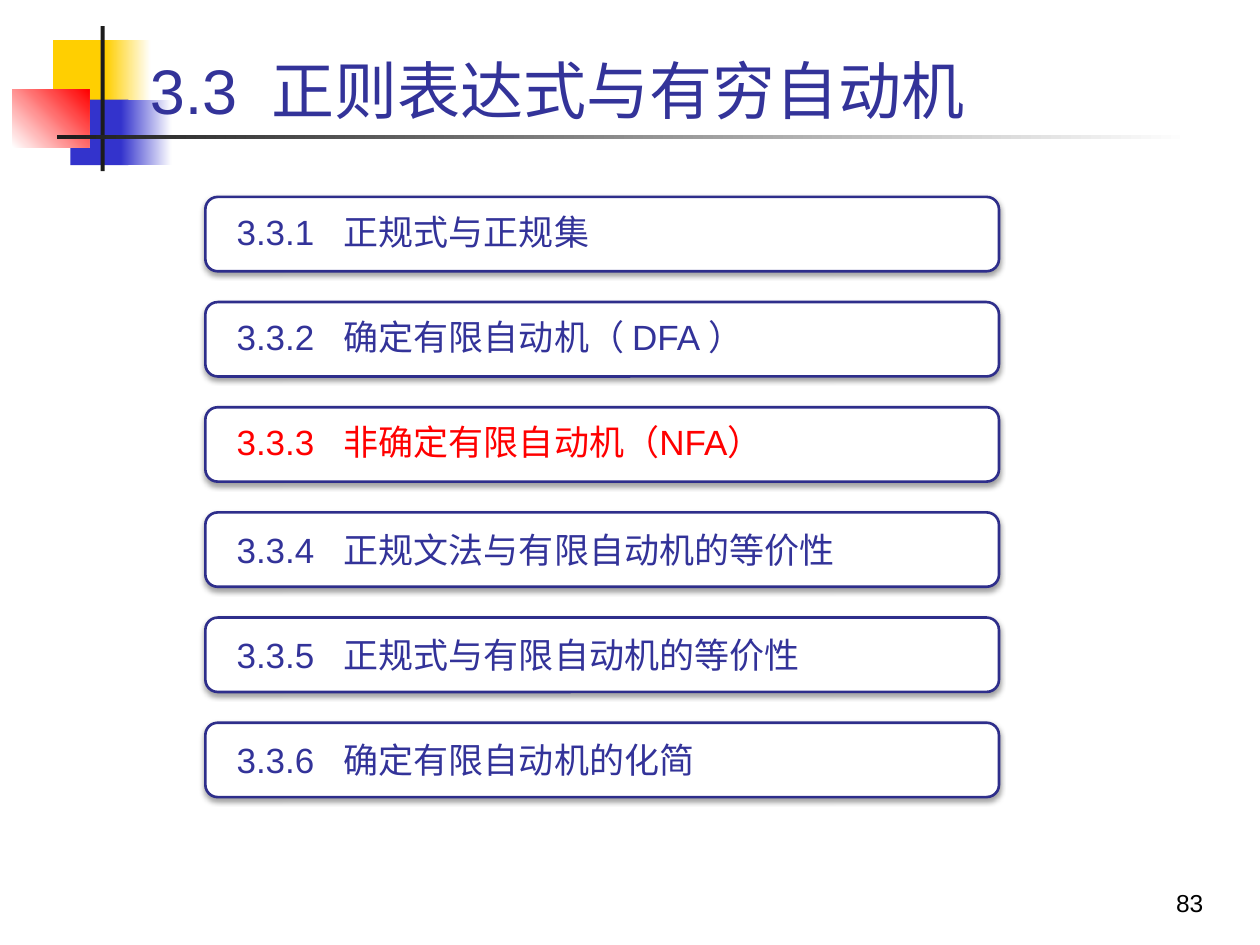
import lxml.etree
import pptx
import pptx.dml.color
import pptx.enum.shapes
import pptx.enum.text
import pptx.oxml
import pptx.oxml.ns
import pptx.util

Cm = pptx.util.Cm
Pt = pptx.util.Pt
Shape = pptx.enum.shapes.MSO_SHAPE
Anchor = pptx.enum.text.MSO_ANCHOR
Align = pptx.enum.text.PP_ALIGN
qn = pptx.oxml.ns.qn

THEME = {
    "font": "Arial",
    "title_size": 36, "section_size": 20, "page_size": 14,
    "text": "333399", "current": "FF0000", "page": "000000",
    "card": "FFFFFF", "card_line": "2E2E8B", "shadow": "000000",
    "yellow": "FFCF01", "blue": "3333CC", "red": "FF0000",
    "ink": "1C1C1C", "paper": "FFFFFF",
}

TITLE = ("3.3", "正则表达式与有穷自动机")
PAGE_NUMBER = "83"
CURRENT = "3.3.3"
SECTIONS = [
    ("3.3.1", "正规式与正规集"),
    ("3.3.2", "确定有限自动机（ DFA ）"),
    ("3.3.3", "非确定有限自动机（NFA）"),
    ("3.3.4", "正规文法与有限自动机的等价性"),
    ("3.3.5", "正规式与有限自动机的等价性"),
    ("3.3.6", "确定有限自动机的化简"),
]
TIGHT_SECTIONS = {"3.3.1", "3.3.2", "3.3.3"}

# left, top, width, height in cm; colours from start to end; gradient angle
ORNAMENT = [
    ((1.07, 0.81, 1.22, 1.32), ("yellow",), 0),
    ((2.13, 0.81, 0.91, 1.32), ("yellow", "paper"), 0),
    ((1.42, 2.01, 1.17, 1.32), ("blue",), 0),
    ((2.44, 2.01, 1.02, 1.32), ("blue", "paper"), 0),
    ((0.25, 1.8, 1.55, 1.17), ("paper", "red"), 45),
    ((2.03, 0.53, 0.08, 2.92), ("ink",), 0),
    ((1.14, 2.72, 22.86, 0.08), ("ink", "paper"), 0),
]

CARD_LEFT, CARD_TOP, CARD_WIDTH, CARD_HEIGHT = 4.14, 3.97, 16, 1.5
CARD_PITCH = 2.12
LABEL_MARGIN_X, LABEL_MARGIN_Y = 0.12, 0.08


def color(name):
    return pptx.dml.color.RGBColor.from_string(THEME[name])


def lengths(box):
    return [Cm(value) for value in box]


def add_ornament(slide, box, colors, angle):
    block = slide.shapes.add_shape(Shape.RECTANGLE, *lengths(box))
    block.shadow.inherit = False
    block.line.fill.background()
    if len(colors) == 1:
        block.fill.solid()
        block.fill.fore_color.rgb = color(colors[0])
        return
    block.fill.gradient()
    block.fill.gradient_angle = angle
    for stop, name in zip(block.fill.gradient_stops, colors):
        stop.color.rgb = color(name)


def add_text(shapes, box, text, size, color_name, anchor, tab=None, insets=None):
    """Add a one-paragraph text box and return its paragraph; tab is in cm."""
    text_box = shapes.add_textbox(*lengths(box))
    frame = text_box.text_frame
    frame.word_wrap = True
    frame.vertical_anchor = anchor
    if insets:
        (frame.margin_left, frame.margin_top,
         frame.margin_right, frame.margin_bottom) = lengths(insets)
    paragraph = frame.paragraphs[0]
    if tab:
        tabs = lxml.etree.SubElement(
            paragraph._p.get_or_add_pPr(), qn("a:tabLst"))
        lxml.etree.SubElement(
            tabs, qn("a:tab"), pos=str(int(Cm(tab))), algn="l")
    run = paragraph.add_run()
    run.text = text
    run.font.name = THEME["font"]
    run.font.size = Pt(THEME[size])
    run.font.color.rgb = color(color_name)
    return paragraph


def add_soft_shadow(shape):
    shape.shadow.inherit = False
    effects = shape._element.spPr.find(qn("a:effectLst"))
    outer = lxml.etree.SubElement(
        effects, qn("a:outerShdw"), blurRad=str(int(Pt(3.1))),
        dist=str(int(Pt(1.6))), dir=str(90 * 60000), rotWithShape="0")
    tint = lxml.etree.SubElement(outer, qn("a:srgbClr"), val=THEME["shadow"])
    lxml.etree.SubElement(tint, qn("a:alpha"), val="38000")


def add_section(slide, index, number, name):
    top = CARD_TOP + index * CARD_PITCH
    group = slide.shapes.add_group_shape()
    card = group.shapes.add_shape(
        Shape.ROUNDED_RECTANGLE,
        *lengths((CARD_LEFT, top, CARD_WIDTH, CARD_HEIGHT)))
    card.fill.solid()
    card.fill.fore_color.rgb = color("card")
    card.line.color.rgb = color("card_line")
    card.line.width = Pt(1.5)
    add_soft_shadow(card)

    label_box = (CARD_LEFT + LABEL_MARGIN_X, top + LABEL_MARGIN_Y,
                 CARD_WIDTH - 2 * LABEL_MARGIN_X,
                 CARD_HEIGHT - 2 * LABEL_MARGIN_Y)
    label = add_text(
        group.shapes, label_box, f"{number}\t{name}", "section_size",
        "current" if number == CURRENT else "text", Anchor.MIDDLE,
        tab=2.16, insets=(0.51, 0, 0.51, 0))
    if number in TIGHT_SECTIONS:
        label.line_spacing = 0.9
        label.space_after = Pt(7)


def main():
    deck = pptx.Presentation()
    deck.slide_width, deck.slide_height = Cm(25.4), Cm(19.05)
    slide = deck.slides.add_slide(deck.slide_layouts[6])

    for box, colors, angle in ORNAMENT:
        add_ornament(slide, box, colors, angle)
    add_text(slide.shapes, (2.77, 0.56, 21.64, 2.13), "\t".join(TITLE),
             "title_size", "text", Anchor.BOTTOM, tab=2.46)
    page = add_text(slide.shapes, (19.23, 17.35, 5.28, 1.27), PAGE_NUMBER,
                    "page_size", "page", Anchor.BOTTOM)
    page.alignment = Align.RIGHT
    for index, (number, name) in enumerate(SECTIONS):
        add_section(slide, index, number, name)

    deck.save("out.pptx")


if __name__ == "__main__":
    main()
